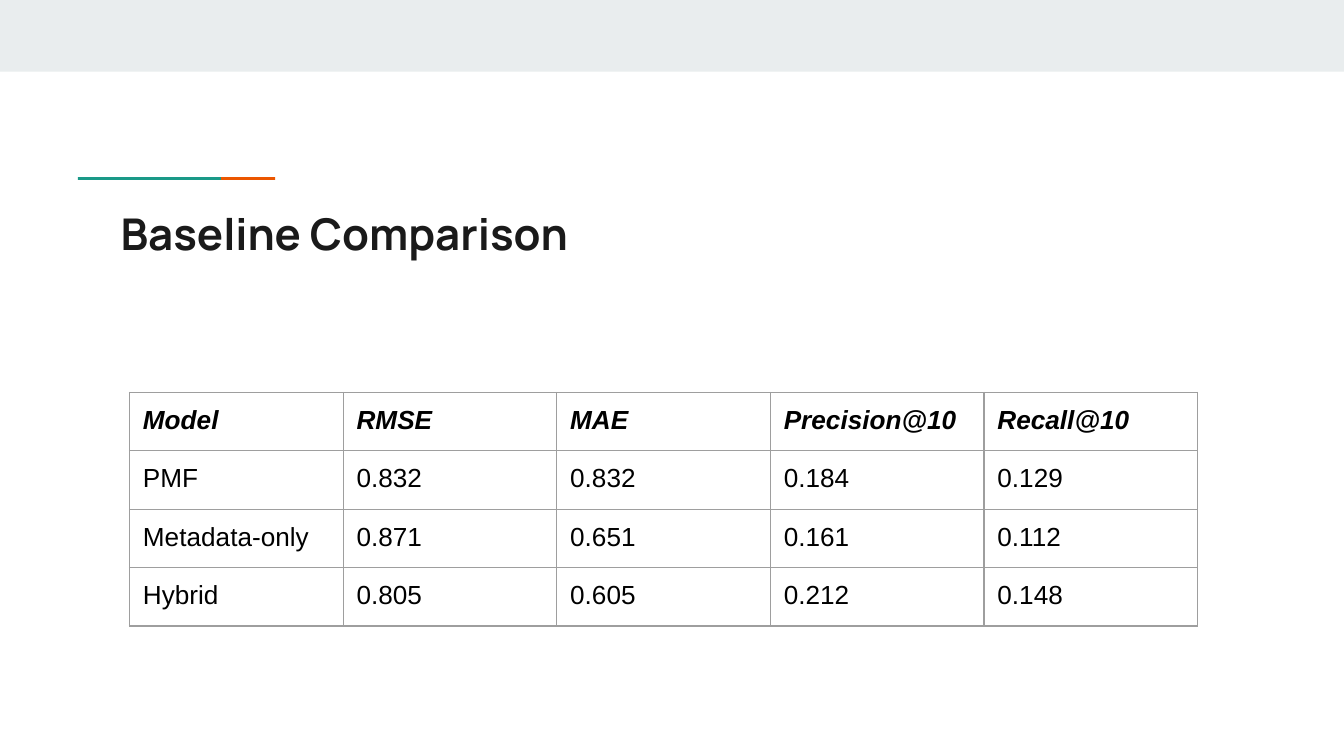
from lxml import etree
from pptx import Presentation
from pptx.dml.color import RGBColor
from pptx.enum.shapes import MSO_SHAPE
from pptx.enum.text import MSO_ANCHOR, MSO_AUTO_SIZE, PP_ALIGN
from pptx.oxml.ns import qn
from pptx.util import Pt

RECTANGLE = MSO_SHAPE.RECTANGLE
TOP = MSO_ANCHOR.TOP
LEFT = PP_ALIGN.LEFT
NO_AUTOFIT = MSO_AUTO_SIZE.NONE

WHITE = RGBColor(0xFF, 0xFF, 0xFF)
BLACK = RGBColor(0x00, 0x00, 0x00)
INK = RGBColor(0x1A, 0x1A, 0x1A)
BAND_GREY = RGBColor(0xE9, 0xED, 0xEE)
TEAL = RGBColor(0x1A, 0x99, 0x88)
ORANGE = RGBColor(0xEB, 0x56, 0x00)
GRID_GREY = RGBColor(0x9E, 0x9E, 0x9E)

SLIDE_WIDTH, SLIDE_HEIGHT = 720, 405
INSET = 7.2

RESULTS = [
    ["Model", "RMSE", "MAE", "Precision@10", "Recall@10"],
    ["PMF", "0.832", "0.832", "0.184", "0.129"],
    ["Metadata-only", "0.871", "0.651", "0.161", "0.112"],
    ["Hybrid", "0.805", "0.605", "0.212", "0.148"],
]


class SlideBuilder:
    """Holds the slide being built and its text, rule and table style."""

    title_font, title_size = "Manrope", 23.4
    table_font, table_size = "Arial", 14
    border_width = 0.75
    rule_length, rule_thickness = 76.6, 1.5

    def __init__(self, slide):
        self.slide = slide
        background = slide.background.fill
        background.solid()
        background.fore_color.rgb = WHITE

    def add_run(self, paragraph, text, font, size, color, bold=False, italic=False):
        run = paragraph.add_run()
        run.text = text
        run.font.name = font
        run.font.size = Pt(size)
        run.font.color.rgb = color
        run.font.bold = bold
        run.font.italic = italic

    def bar(self, left, top, width, height, color):
        bar = self.slide.shapes.add_shape(
            RECTANGLE, Pt(left), Pt(top), Pt(width), Pt(height))
        bar.shadow.inherit = False
        bar.fill.solid()
        bar.fill.fore_color.rgb = color
        bar.line.fill.background()
        return bar

    def accent_rule(self, center_x, center_y, color):
        """Add an upright bar about its centre and turn it to lie flat."""
        rule = self.bar(center_x - self.rule_thickness / 2,
                        center_y - self.rule_length / 2,
                        self.rule_thickness, self.rule_length, color)
        rule.rotation = 270

    def title(self, text, left, top, width, height):
        title = self.slide.shapes.title
        title.left, title.top = Pt(left), Pt(top)
        title.width, title.height = Pt(width), Pt(height)
        frame = title.text_frame
        frame.word_wrap = True
        frame.auto_size = NO_AUTOFIT
        frame.vertical_anchor = TOP
        self.set_insets(frame)
        heading = frame.paragraphs[0]
        heading.alignment = LEFT
        self.add_run(heading, text, self.title_font, self.title_size, INK, bold=True)

    def set_insets(self, holder):
        holder.margin_left = holder.margin_right = Pt(INSET)
        holder.margin_top = holder.margin_bottom = Pt(INSET)

    def outline(self, cell):
        """Draw all four borders of a table cell."""
        properties = cell._tc.get_or_add_tcPr()
        for position, side in enumerate(("a:lnL", "a:lnR", "a:lnT", "a:lnB")):
            border = etree.Element(qn(side), w=str(Pt(self.border_width)))
            fill = etree.SubElement(border, qn("a:solidFill"))
            etree.SubElement(fill, qn("a:srgbClr"), val=str(GRID_GREY))
            properties.insert(position, border)

    def table(self, rows, left, top, column_width, row_height):
        row_count, column_count = len(rows), len(rows[0])
        table = self.slide.shapes.add_table(
            row_count, column_count, Pt(left), Pt(top),
            Pt(column_width * column_count), Pt(row_height * row_count)).table
        table.first_row = table.horz_banding = False
        for column in table.columns:
            column.width = Pt(column_width)
        for row_index, values in enumerate(rows):
            table.rows[row_index].height = Pt(row_height)
            is_header = row_index == 0
            for column_index, value in enumerate(values):
                cell = table.cell(row_index, column_index)
                cell.fill.background()
                self.set_insets(cell)
                self.outline(cell)
                self.add_run(cell.text_frame.paragraphs[0], value, self.table_font,
                             self.table_size, BLACK, bold=is_header, italic=is_header)


def main():
    presentation = Presentation()
    presentation.slide_width = Pt(SLIDE_WIDTH)
    presentation.slide_height = Pt(SLIDE_HEIGHT)
    title_only = presentation.slide_layouts[5]
    builder = SlideBuilder(presentation.slides.add_slide(title_only))

    builder.bar(0, 0, SLIDE_WIDTH, 38.4, BAND_GREY)
    builder.accent_rule(109.1, 95.6, ORANGE)
    builder.accent_rule(80.1, 95.6, TEAL)
    builder.title("Baseline Comparison", 57.4, 103.7, 605.5, 42.5)
    builder.table(RESULTS, 69.4, 210.2, 114.45, 31.3)

    presentation.save("out.pptx")


if __name__ == "__main__":
    main()
